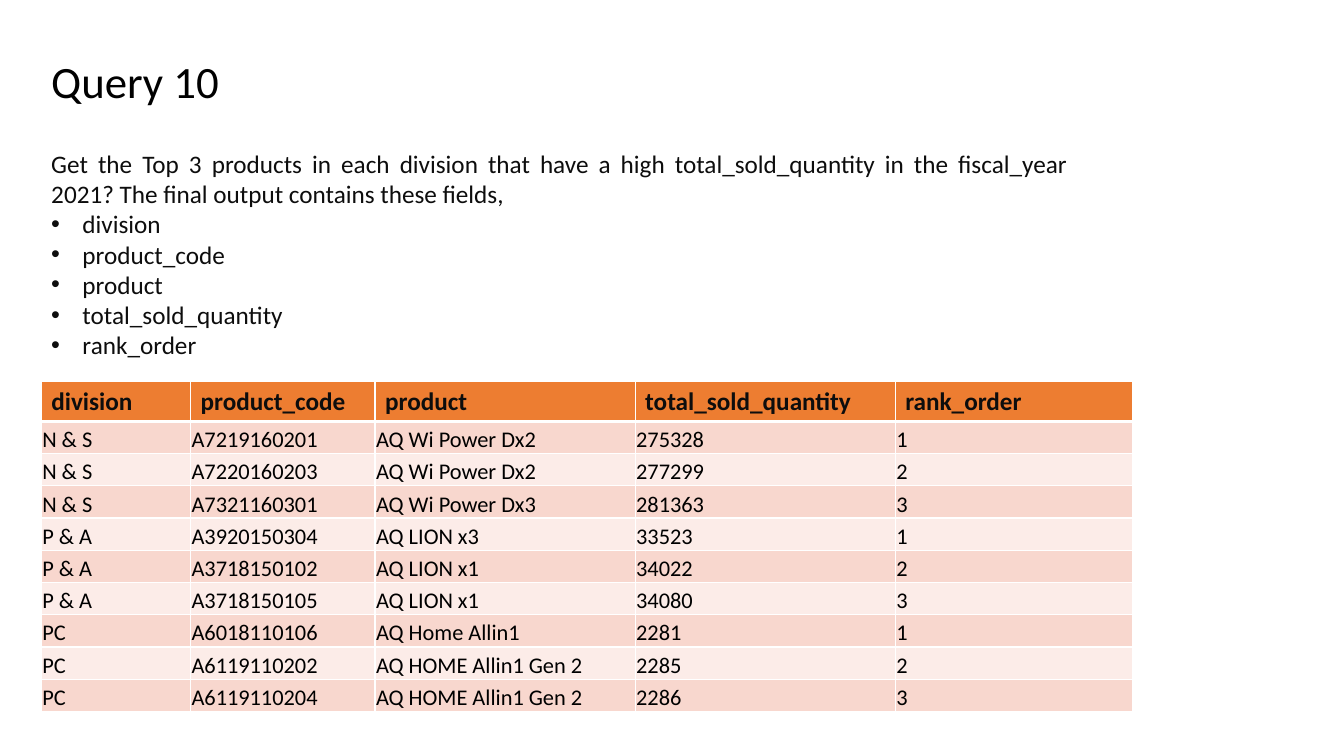
from lxml import etree
from pptx import Presentation
from pptx.dml.color import RGBColor
from pptx.enum.text import MSO_ANCHOR, PP_ALIGN
from pptx.oxml.ns import qn
from pptx.util import Inches, Pt

MIDDLE, TOP, BOTTOM = MSO_ANCHOR.MIDDLE, MSO_ANCHOR.TOP, MSO_ANCHOR.BOTTOM
LEFT, JUSTIFY = PP_ALIGN.LEFT, PP_ALIGN.JUSTIFY

FONT = "Calibri"
BLACK, INK, WHITE = "000000", "0D0D0D", "FFFFFF"
ORANGE, BANDS = "ED7D31", ("F8D7CE", "FCECE8")

MARGIN = 0.41
FIELDS = ["division", "product_code", "product", "total_sold_quantity", "rank_order"]
COLUMN_WIDTHS = [1.48, 1.83, 2.58, 2.58, 2.35]
HEADER_HEIGHT, ROW_HEIGHT = 0.37, 0.32
TOP_PRODUCTS = [
    ("N & S", "A7219160201", "AQ Wi Power Dx2", "275328", "1"),
    ("N & S", "A7220160203", "AQ Wi Power Dx2", "277299", "2"),
    ("N & S", "A7321160301", "AQ Wi Power Dx3", "281363", "3"),
    ("P & A", "A3920150304", "AQ LION x3", "33523", "1"),
    ("P & A", "A3718150102", "AQ LION x1", "34022", "2"),
    ("P & A", "A3718150105", "AQ LION x1", "34080", "3"),
    ("PC", "A6018110106", "AQ Home Allin1", "2281", "1"),
    ("PC", "A6119110202", "AQ HOME Allin1 Gen 2", "2285", "2"),
    ("PC", "A6119110204", "AQ HOME Allin1 Gen 2", "2286", "3"),
]


def rgb(value):
    return RGBColor.from_string(value)


class QuerySlide:
    def __init__(self, slide):
        self.slide = slide

    def style(self, paragraph, size, color, bold=False, align=LEFT):
        paragraph.alignment = align
        for run in paragraph.runs:
            run.font.name = FONT
            run.font.size = Pt(size)
            run.font.bold = bold
            run.font.color.rgb = rgb(color)

    def bullet(self, paragraph):
        properties = paragraph._p.get_or_add_pPr()
        properties.set("marL", str(Inches(0.31)))
        properties.set("indent", str(Inches(-0.31)))
        etree.SubElement(properties, qn("a:buFont"), typeface="Arial")
        etree.SubElement(properties, qn("a:buChar"), char="•")

    def text(self, top, height, lines, size, color, align=LEFT, bullets_from=None):
        box = self.slide.shapes.add_textbox(
            Inches(MARGIN), Inches(top), Inches(10.28), Inches(height))
        frame = box.text_frame
        frame.word_wrap = True
        frame.vertical_anchor = MIDDLE
        frame.text = "\n".join(lines)
        for index, paragraph in enumerate(frame.paragraphs):
            self.style(paragraph, size, color, align=align)
            if bullets_from is not None and index >= bullets_from:
                self.bullet(paragraph)

    def borders(self, cell, top, bottom):
        properties = cell._tc.get_or_add_tcPr()
        for side, width in (("L", 1), ("R", 1), ("T", top), ("B", bottom)):
            line = etree.SubElement(properties, qn(f"a:ln{side}"), w=str(Pt(width)))
            fill = etree.SubElement(line, qn("a:solidFill"))
            etree.SubElement(fill, qn("a:srgbClr"), val=WHITE)

    def cell(self, cell, value, row):
        header = row == 0
        cell.text = value
        # Borders precede the fill in the cell properties
        self.borders(cell, top=3 if row == 1 else 1, bottom=3 if header else 1)
        cell.fill.solid()
        cell.fill.fore_color.rgb = rgb(ORANGE if header else BANDS[(row - 1) % 2])
        cell.vertical_anchor = TOP if header else BOTTOM
        if not header:
            cell.margin_left = cell.margin_right = cell.margin_top = Inches(0.01)
            cell.margin_bottom = 0
        self.style(cell.text_frame.paragraphs[0], 18 if header else 16,
                   INK if header else BLACK, bold=header)

    def table(self, top, widths, rows):
        heights = [HEADER_HEIGHT] + [ROW_HEIGHT] * (len(rows) - 1)
        table = self.slide.shapes.add_table(
            len(rows), len(widths), Inches(MARGIN), Inches(top),
            Inches(sum(widths)), Inches(sum(heights))).table
        for column, width in zip(table.columns, widths):
            column.width = Inches(width)
        for index, (height, values) in enumerate(zip(heights, rows)):
            table.rows[index].height = Inches(height)
            for column, value in enumerate(values):
                self.cell(table.cell(index, column), value, index)


def main():
    deck = Presentation()
    deck.slide_width, deck.slide_height = Inches(13.33), Inches(7.5)
    query = QuerySlide(deck.slides.add_slide(deck.slide_layouts[6]))

    # Title
    query.text(0.47, 0.66, ["Query 10"], 32, BLACK)

    # Question and requested fields
    question = ("Get the Top 3 products in each division that have a high "
                "total_sold_quantity in the fiscal_year 2021? "
                "The final output contains these fields,")
    query.text(1.43, 2.18, [question] + FIELDS, 18, INK, JUSTIFY, bullets_from=1)

    # Query result
    query.table(3.78, COLUMN_WIDTHS, [FIELDS] + TOP_PRODUCTS)

    deck.save("out.pptx")


if __name__ == "__main__":
    main()
